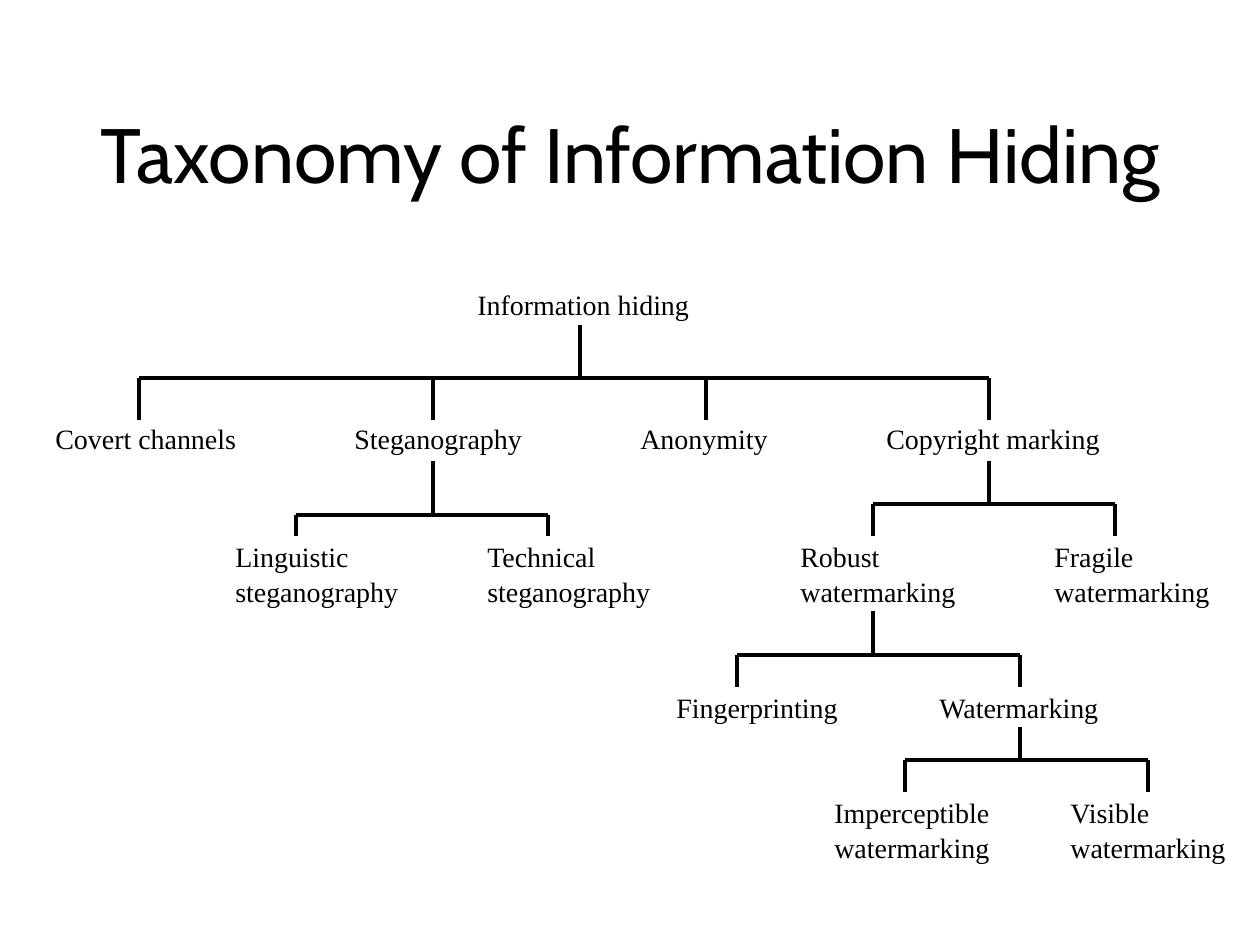
import pptx
import pptx.dml.color
import pptx.enum.shapes
import pptx.enum.text
import pptx.util
from pptx.oxml.ns import qn

PX = 914400 / 126
BLACK = pptx.dml.color.RGBColor(0, 0, 0)
WHITE = pptx.dml.color.RGBColor(255, 255, 255)
ANCHOR = pptx.enum.text.MSO_ANCHOR
ALIGN = pptx.enum.text.PP_ALIGN
FIT = pptx.enum.text.MSO_AUTO_SIZE
ONE_LINE, TWO_LINES = 45, 78

LABELS = [
    ("Information hiding", 422, 0, 237),
    ("Covert channels", 0, 134, 206),
    ("Steganography", 299, 134, 193),
    ("Anonymity", 585, 134, 153),
    ("Copyright marking", 831, 134, 240),
    ("Linguistic\nsteganography", 180, 252, 188),
    ("Technical\nsteganography", 432, 252, 188),
    ("Robust\nwatermarking", 745, 252, 180),
    ("Fragile\nwatermarking", 999, 252, 180),
    ("Fingerprinting", 621, 403, 188),
    ("Watermarking", 884, 403, 186),
    ("Imperceptible\nwatermarking", 779, 508, 180),
    ("Visible\nwatermarking", 1015, 508, 180),
]

BRACKETS = [
    (537, 41, 94, [96, 390, 663, 946], 136),
    (390, 177, 231, [253, 505], 252),
    (946, 177, 220, [830, 1072], 252),
    (830, 327, 371, [694, 977], 403),
    (977, 443, 476, [862, 1105], 508),
]


def emu(px):
    return pptx.util.Emu(round(px * PX))


def add_text(s, text, x, y, w, h, size=16, font="Times New Roman", color=BLACK,
             align=ALIGN.LEFT, anchor=ANCHOR.TOP, wrap=False, fit=FIT.SHAPE_TO_FIT_TEXT,
             spacing=None):
    sp = s.shapes.add_textbox(emu(x), emu(y), emu(w), emu(h))
    tf = sp.text_frame
    tf.word_wrap = wrap
    tf.auto_size = fit
    tf.vertical_anchor = anchor
    for i, line in enumerate(text.split("\n")):
        p = tf.paragraphs[0] if i == 0 else tf.add_paragraph()
        p.alignment = align
        if i == 0:
            p.line_spacing = spacing
        r = p.add_run()
        r.text = line
        r.font.size = pptx.util.Pt(size)
        r.font.name = font
        r.font.color.rgb = color
    return sp


def add_line(s, x1, y1, x2, y2):
    cx = s.shapes.add_connector(pptx.enum.shapes.MSO_CONNECTOR.STRAIGHT,
                                emu(x1), emu(y1), emu(x2), emu(y2))
    cx.line.color.rgb = BLACK
    cx.line.width = pptx.util.Pt(2)
    sp_pr = cx._element.spPr
    sp_pr.append(sp_pr.makeelement(qn("a:effectLst"), {}))
    return cx


def add_title(s, x, y, w, h):
    add_text(s, "Taxonomy of Information Hiding", x, y, w, h, size=44, font="Cabin",
             align=ALIGN.CENTER, anchor=ANCHOR.MIDDLE, wrap=True, fit=FIT.NONE)


def add_bracket(s, x, y, stem, top, bar, drops, bottom, boxes):
    add_line(s, x + drops[0], y + bar, x + drops[-1], y + bar)
    add_line(s, x + stem, y + top, x + stem, y + bar)
    for drop in drops:
        cx = add_line(s, x + drop, y + bar, x + drop, y + bottom)
        if (drop, bottom) in boxes:
            cx.end_connect(boxes[drop, bottom], 0)


def add_tree(s, x, y):
    boxes = {}
    for text, left, top, w in LABELS:
        h = TWO_LINES if "\n" in text else ONE_LINE
        boxes[left + w / 2, top] = add_text(s, text, x + left, y + top, w, h, spacing=0.95)
    for bracket in BRACKETS:
        add_bracket(s, x, y, *bracket, boxes)


def main():
    prs = pptx.Presentation()
    prs.slide_width, prs.slide_height = emu(1260), emu(945)
    s = prs.slides.add_slide(prs.slide_layouts[6])
    s.background.fill.solid()
    s.background.fill.fore_color.rgb = WHITE
    add_title(s, 53, 54, 1155, 198)
    add_tree(s, 43, 284)
    prs.save("out.pptx")


if __name__ == "__main__":
    main()
